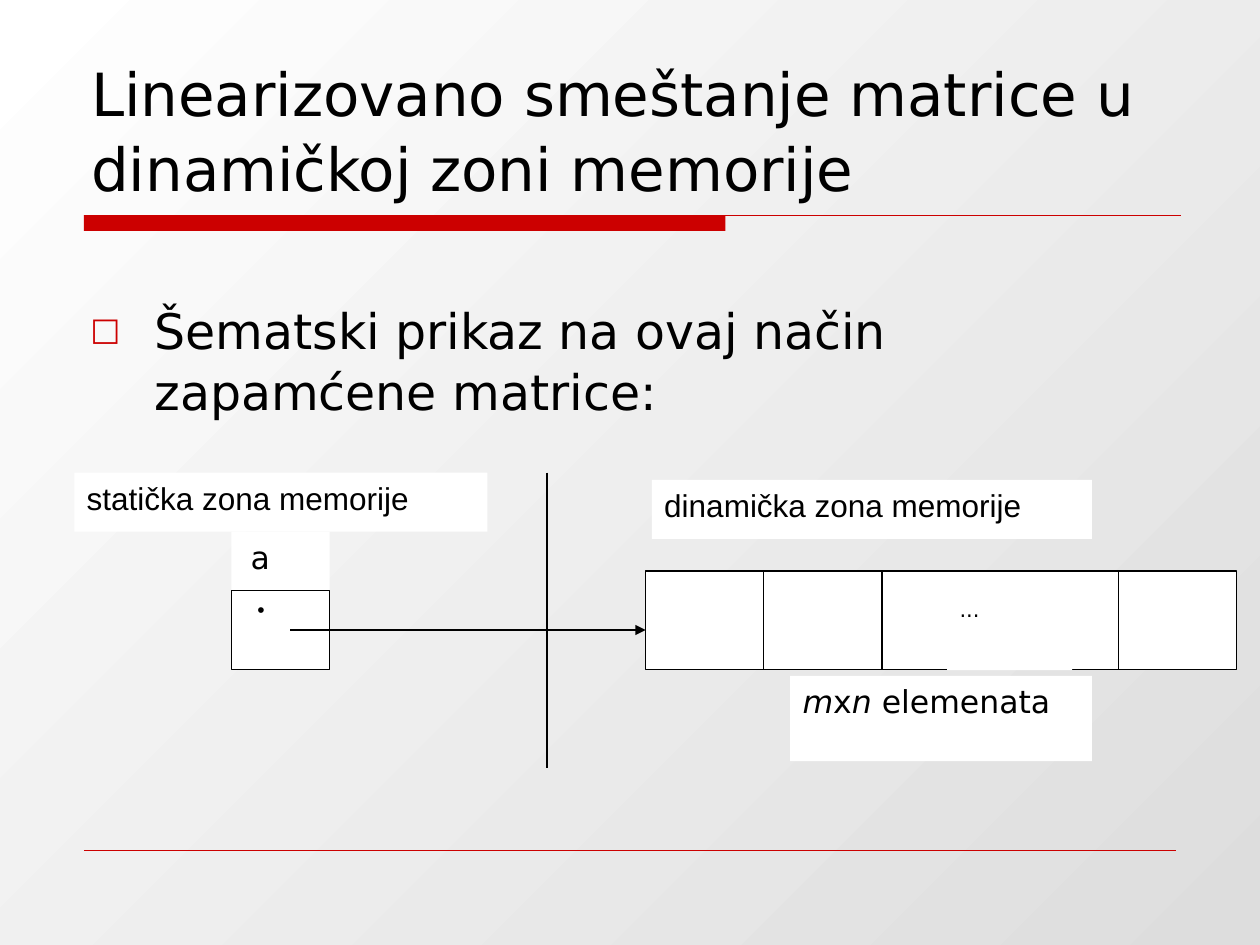
from dataclasses import dataclass

from lxml.etree import SubElement
from pptx import Presentation
from pptx.dml.color import RGBColor
from pptx.enum.shapes import MSO_CONNECTOR, MSO_SHAPE
from pptx.enum.text import MSO_ANCHOR, PP_ALIGN
from pptx.oxml.ns import qn
from pptx.util import Pt

COLORS = {"ink": "000000", "paper": "FFFFFF", "accent": "CC0000", "shade": "DDDDDD"}
SANS, LABEL = "DejaVu Sans", "Arial"


@dataclass
class Box:
    left: float
    top: float
    width: float
    height: float
    text: str = ""
    size: float = 18
    font: str = SANS
    inset: float = 7.2
    fill: str | None = "paper"
    line: str | None = None
    anchor: MSO_ANCHOR = MSO_ANCHOR.TOP
    spacing: float = 1.0
    italics: str = ""


@dataclass
class Rule:
    x1: float
    y1: float
    x2: float
    y2: float
    color: str = "ink"
    weight: float = 0.75
    arrow: bool = False


def rgb(name: str) -> RGBColor:
    return RGBColor.from_string(COLORS[name])


def draw_background(s) -> None:
    fill = s.background.fill
    fill.gradient()
    fill.gradient_angle = 135
    for stop, position, color in zip(fill.gradient_stops, (0, 1), ("shade", "paper")):
        stop.position = position
        stop.color.rgb = rgb(color)


def write_text(sp, box: Box) -> None:
    """Set the text of a box, slanting the characters listed in italics."""
    tf = sp.text_frame
    tf.word_wrap = True
    tf.vertical_anchor = box.anchor
    tf.margin_left, tf.margin_right = Pt(box.inset), Pt(7.2)
    tf.margin_top = tf.margin_bottom = Pt(3.6)
    p = tf.paragraphs[0]
    p.alignment = PP_ALIGN.LEFT
    p.line_spacing = box.spacing
    p.font.size, p.font.name = Pt(box.size), box.font
    p.font.color.rgb = rgb("ink")
    rest = box.text
    for char in box.italics:
        before, rest = rest.split(char, 1)
        if before:
            p.add_run().text = before
        r = p.add_run()
        r.text, r.font.italic = char, True
    p.add_run().text = rest


def draw_box(s, box: Box):
    frame = [Pt(v) for v in (box.left, box.top, box.width, box.height)]
    if box.fill is None:
        sp = s.shapes.add_textbox(*frame)
    else:
        sp = s.shapes.add_shape(MSO_SHAPE.RECTANGLE, *frame)
        sp.shadow.inherit = False
        sp.fill.solid()
        sp.fill.fore_color.rgb = rgb(box.fill)
        if box.line:
            sp.line.color.rgb = rgb(box.line)
            sp.line.width = Pt(0.75)
        else:
            sp.line.fill.background()
    if box.text:
        write_text(sp, box)
    return sp


def draw_rule(s, rule: Rule) -> None:
    ends = [Pt(v) for v in (rule.x1, rule.y1, rule.x2, rule.y2)]
    cx = s.shapes.add_connector(MSO_CONNECTOR.STRAIGHT, *ends)
    cx.line.color.rgb = rgb(rule.color)
    cx.line.width = Pt(rule.weight)
    if rule.arrow:
        SubElement(cx.line._get_or_add_ln(), qn("a:tailEnd"), type="triangle")
    SubElement(cx._element.spPr, qn("a:effectLst"))


def add_bullet(p, char: str, indent: float) -> None:
    """Give a paragraph a small accent bullet with a hanging indent."""
    pPr = p._p.get_or_add_pPr()
    pPr.set("marL", str(Pt(indent)))
    pPr.set("indent", str(Pt(-indent)))
    bullet = [
        pPr.makeelement(qn("a:buClr"), {}),
        pPr.makeelement(qn("a:buSzPct"), {"val": "65000"}),
        pPr.makeelement(qn("a:buFont"), {"typeface": SANS}),
        pPr.makeelement(qn("a:buChar"), {"char": char}),
    ]
    SubElement(bullet[0], qn("a:srgbClr"), val=COLORS["accent"])
    default_font = pPr.find(qn("a:defRPr"))
    for element in bullet:
        default_font.addprevious(element)


TITLE = Box(45, 24, 630, 95.5, "Linearizovano smeštanje matrice u dinamičkoj zoni memorije",
            34, fill=None, anchor=MSO_ANCHOR.BOTTOM, spacing=1.04)
BODY = Box(44.5, 166.8, 630, 307.7, "Šematski prikaz na ovaj način zapamćene matrice:",
           28, fill=None, spacing=1.04)

TITLE_BAR = Box(48, 123, 366.5, 9, fill="accent")
FRAME_RULES = [
    Rule(48, 123, 675, 123, "accent"),
    Rule(48, 486, 672, 486, "accent", 0.25),
]

CELL = 67.5
ARRAY = Box(369, 326.25, 5 * CELL, 56.25, line="ink")
DIVIDERS = [
    Rule(x, ARRAY.top, x, ARRAY.top + ARRAY.height)
    for x in (ARRAY.left + n * CELL for n in (1, 2, 4))
]
DIAGRAM = [
    Box(42.5, 270, 236, 33.75, "statička zona memorije", font=LABEL),
    Rule(312.5, 270, 312.5, 438.75),
    Box(372.5, 274.25, 251.5, 33.75, "dinamička zona memorije", font=LABEL),
    Box(132.25, 303.75, 56.25, 33.75, "a", inset=11),
    Box(132.25, 337.5, 56.25, 45, "•", 12, LABEL, 14.8, line="ink"),
    Rule(166, 360, ARRAY.left, 360, arrow=True),
    ARRAY,
    *DIVIDERS,
    Box(541.25, 337.5, 71.5, 45.5, "...", 12),
    Box(451.5, 386.25, 172.5, 48.75, "mxn elemenata", italics="mn"),
]


def main() -> None:
    prs = Presentation()
    prs.slide_width, prs.slide_height = Pt(720), Pt(540)
    s = prs.slides.add_slide(prs.slide_layouts[6])
    draw_background(s)
    draw_box(s, TITLE_BAR)
    for rule in FRAME_RULES:
        draw_rule(s, rule)
    draw_box(s, TITLE)
    add_bullet(draw_box(s, BODY).text_frame.paragraphs[0], "□", 36.75)
    for item in DIAGRAM:
        draw = draw_rule if isinstance(item, Rule) else draw_box
        draw(s, item)
    prs.save("out.pptx")


if __name__ == "__main__":
    main()
